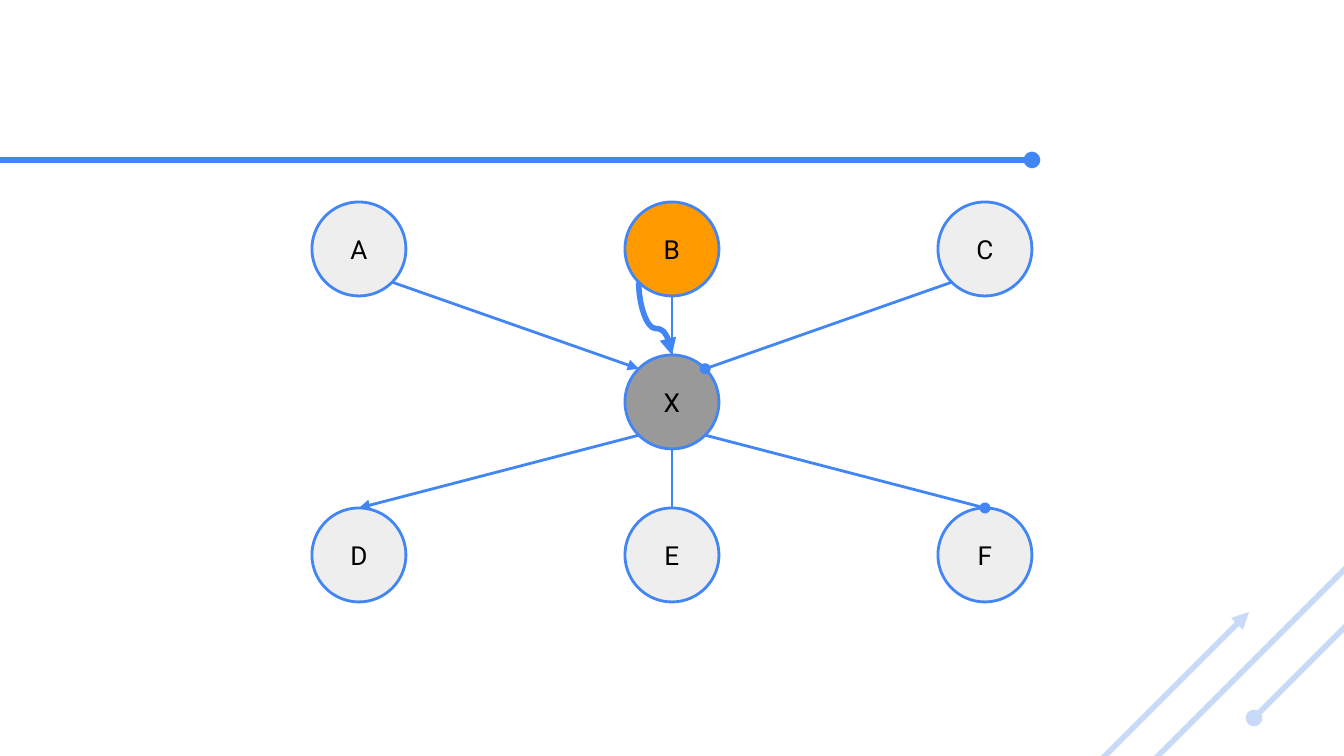
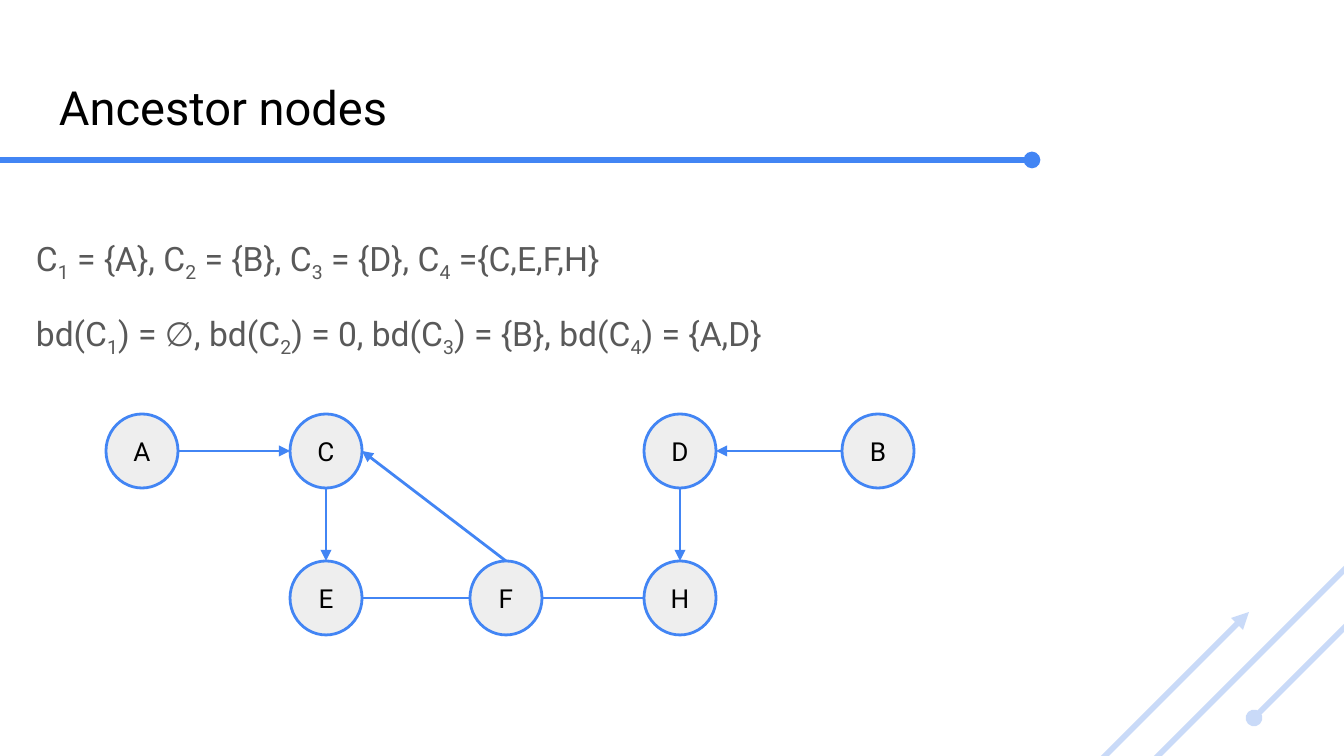
from dataclasses import dataclass
from math import sqrt

from lxml.etree import SubElement
from pptx import Presentation
from pptx.dml.color import RGBColor as RGB
from pptx.enum.shapes import MSO_CONNECTOR as LINK, MSO_SHAPE as SHAPE
from pptx.enum.text import MSO_ANCHOR as ANCHOR, PP_ALIGN as ALIGN
from pptx.oxml.ns import qn
from pptx.util import Emu, Pt


@dataclass(frozen=True)
class Theme:
    font: str = "Roboto"
    blue: str = "4285F4"
    pale: str = "C9DAF8"
    node: str = "EEEEEE"
    black: str = "000000"
    body: str = "595959"
    title_size: float = 25.2
    body_size: int = 18
    node_size: int = 14
    thin: float = 1.5
    thick: int = 3


THEME = Theme()
PAD = 13
DIAG = sqrt(0.5)

# Direction from a node's centre to each point where a line may join
SITES = {
    "n": (0, -1), "s": (0, 1), "w": (-1, 0), "e": (1, 0),
    "nw": (-DIAG, -DIAG), "ne": (DIAG, -DIAG),
    "sw": (-DIAG, DIAG), "se": (DIAG, DIAG),
}

# start, end, colour, head, tail
DECOR = [
    ((-11, 160), (1032, 160), THEME.blue, None, "oval"),
    ((1254, 718), (1400, 572), THEME.pale, "oval", None),
    ((1121, 793), (1353, 561), THEME.pale, None, None),
    ((1249, 612), (1081, 780), THEME.pale, "triangle", None),
]

# Nodes: centre and, where it differs, fill.
# Edges: node, site, node, site, tail.
STAR = {
    "title": "",
    "body": [],
    "size": (94, 94),
    "nodes": {
        "A": (359, 249), "C": (985, 249), "B": (672, 249),
        "D": (359, 555), "F": (985, 555), "E": (672, 555),
        "X": (672, 402),
    },
    "fills": {"B": "FF9900", "X": "999999"},
    "edges": [
        ("A", "se", "X", "nw", "triangle"),
        ("X", "sw", "D", "n", "triangle"),
        ("B", "s", "X", "n", None),
        ("X", "s", "E", "n", None),
        ("C", "sw", "X", "ne", "oval"),
        ("X", "se", "F", "n", "oval"),
    ],
    "curves": [("B", "sw", "X", "n", "triangle")],
}

CHAIN = {
    "title": "Ancestor nodes",
    # An underscore lowers the digit that follows it
    "body": [
        "C_1 = {A}, C_2 = {B}, C_3 = {D}, C_4 ={C,E,F,H}",
        "bd(C_1) = ∅, bd(C_2) = 0, bd(C_3) = {B}, bd(C_4) = {A,D}",
    ],
    "size": (72, 74),
    "nodes": {
        "E": (326, 598), "C": (326, 451), "A": (142, 451),
        "F": (506, 598), "B": (878, 451), "H": (680, 598),
        "D": (680, 451),
    },
    "fills": {},
    "edges": [
        ("B", "w", "D", "e", "triangle"),
        ("A", "e", "C", "w", "triangle"),
        ("C", "s", "E", "n", "triangle"),
        ("D", "s", "H", "n", "triangle"),
        ("F", "w", "E", "e", None),
        ("H", "w", "F", "e", None),
        ("F", "n", "C", "e", "triangle"),
    ],
    "curves": [],
}


def px(num):
    return Emu(round(num * 9144000 / 1344))


def style(run, size, color):
    font = run.font
    font.name = THEME.font
    font.size = Pt(size)
    font.color.rgb = RGB.from_string(color)


def inset(frame, top=PAD):
    frame.word_wrap = True
    frame.margin_left = frame.margin_right = frame.margin_bottom = px(PAD)
    frame.margin_top = px(top)


def add_line(slide, start, end, color, width, head=None, tail=None, kind=LINK.STRAIGHT):
    line = slide.shapes.add_connector(kind, *map(px, (*start, *end)))
    line.line.color.rgb = RGB.from_string(color)
    line.line.width = Pt(width)
    props = line._element.spPr
    for tag, mark in (("a:headEnd", head), ("a:tailEnd", tail)):
        if mark:
            SubElement(props.find(qn("a:ln")), qn(tag), type=mark)
    SubElement(props, qn("a:effectLst"))
    return line


def add_curve(slide, start, end, tail):
    """Draw an S curve that leaves and arrives vertically."""
    (x1, y1), (x2, y2) = start, end
    mid_x, mid_y = (x1 + x2) / 2, (y1 + y2) / 2
    half_w, half_h = (x2 - x1) / 2, (y2 - y1) / 2
    # The frame lies on its side and is then turned by 270 degrees
    line = add_line(
        slide, (mid_x + half_h, mid_y - half_w), (mid_x - half_h, mid_y + half_w),
        THEME.blue, THEME.thick, tail=tail, kind=LINK.CURVE)
    props = line._element.spPr
    props.find(qn("a:xfrm")).set("rot", str(270 * 60000))
    bends = props.find(qn("a:prstGeom")).find(qn("a:avLst"))
    SubElement(bends, qn("a:gd"), name="adj1", fmla="val 63600")


def add_node(slide, name, spot, size, fill):
    (x, y), (w, h) = spot, size
    node = slide.shapes.add_shape(
        SHAPE.OVAL, *map(px, (x - w / 2, y - h / 2, w, h)))
    node.shadow.inherit = False
    node.fill.solid()
    node.fill.fore_color.rgb = RGB.from_string(fill)
    node.line.color.rgb = RGB.from_string(THEME.blue)
    node.line.width = Pt(THEME.thin)
    frame = node.text_frame
    inset(frame)
    frame.vertical_anchor = ANCHOR.MIDDLE
    frame.text = name
    para = frame.paragraphs[0]
    para.alignment = ALIGN.CENTER
    style(para.runs[0], THEME.node_size, THEME.black)


def add_title(slide, text):
    frame = slide.shapes.add_textbox(*map(px, (46, 66, 1253, 85))).text_frame
    inset(frame)
    frame.text = text
    style(frame.paragraphs[0].runs[0], THEME.title_size, THEME.black)


def add_run(para, text, lower=False):
    run = para.add_run()
    run.text = text
    style(run, THEME.body_size, THEME.body)
    if lower:
        run._r.get_or_add_rPr().set("baseline", "-25000")


def add_body(slide, lines):
    frame = slide.shapes.add_textbox(*map(px, (23, 180, 1253, 503))).text_frame
    inset(frame, top=51)
    for num, text in enumerate(lines):
        para = frame.add_paragraph() if num else frame.paragraphs[0]
        para.line_spacing = 1.15
        if num:
            para.space_before = para.space_after = Pt(12)
        first, *rest = text.split("_")
        add_run(para, first)
        for part in rest:
            add_run(para, part[0], lower=True)
            add_run(para, part[1:])


def add_graph(slide, graph):
    size, nodes = graph["size"], graph["nodes"]

    def site(name, side):
        return tuple(mid + span / 2 * way
                     for mid, span, way in zip(nodes[name], size, SITES[side]))

    for name, spot in nodes.items():
        add_node(slide, name, spot, size, graph["fills"].get(name, THEME.node))
    for a, out, b, into, tail in graph["edges"]:
        add_line(slide, site(a, out), site(b, into), THEME.blue, THEME.thin, tail=tail)
    for a, out, b, into, tail in graph["curves"]:
        add_curve(slide, site(a, out), site(b, into), tail)


def main():
    deck = Presentation()
    deck.slide_width, deck.slide_height = px(1344), px(756)
    for graph in (STAR, CHAIN):
        slide = deck.slides.add_slide(deck.slide_layouts[6])
        if graph["title"]:
            add_title(slide, graph["title"])
        if graph["body"]:
            add_body(slide, graph["body"])
        for start, end, color, head, tail in DECOR:
            add_line(slide, start, end, color, THEME.thick, head, tail)
        add_graph(slide, graph)
    deck.save("out.pptx")


if __name__ == "__main__":
    main()
